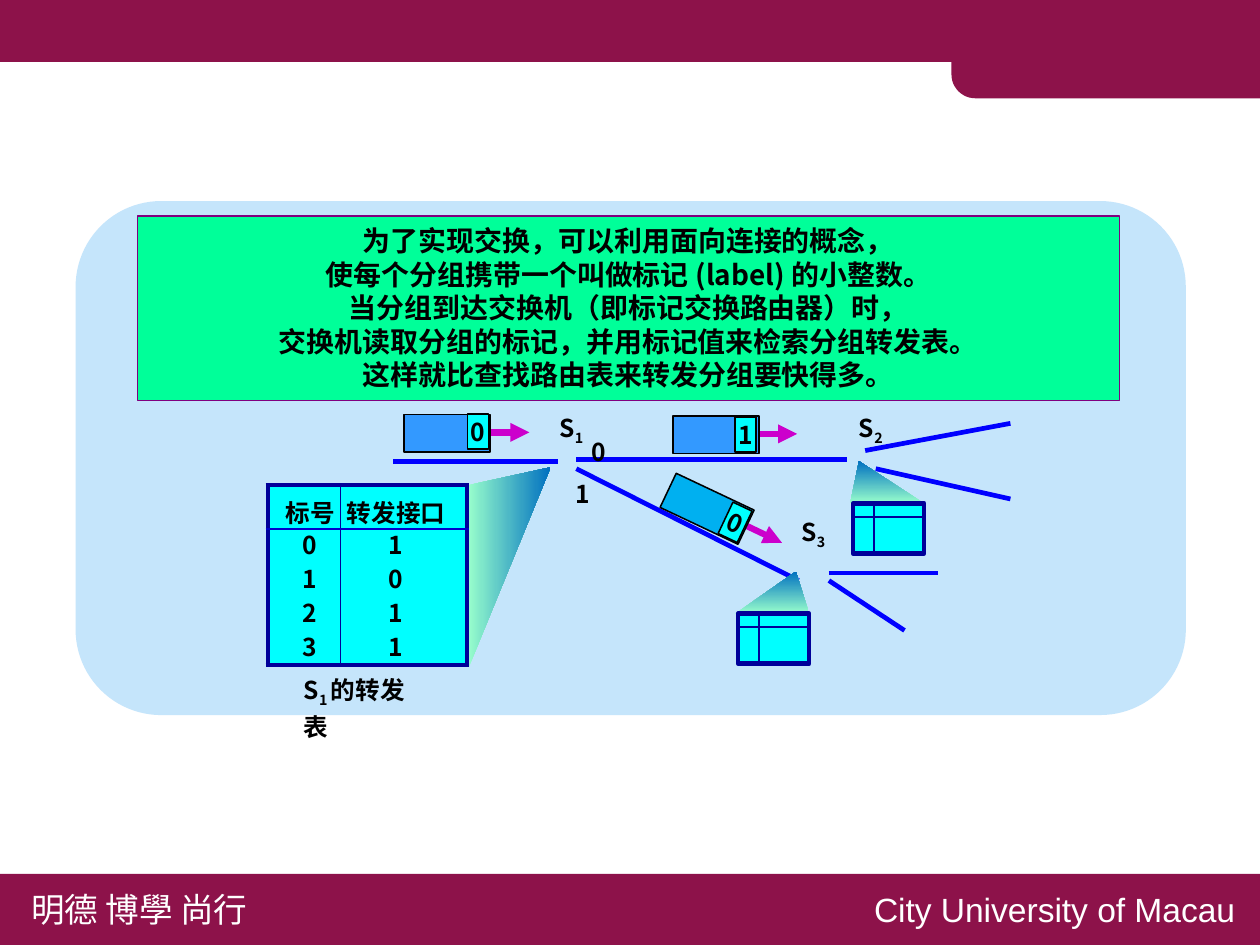
from dataclasses import dataclass

from lxml import etree
from pptx import Presentation
from pptx import util as u
from pptx.dml.color import RGBColor
from pptx.enum import shapes, text
from pptx.oxml import ns

SHAPE = shapes.MSO_SHAPE
ALIGN = text.PP_ALIGN
ANCHOR = text.MSO_ANCHOR


@dataclass(frozen=True)
class Theme:
    cjk: str = "Noto Sans CJK SC"
    latin: str = "Arial"
    foot: float = 16
    body: float = 13.3
    label: float = 11.7
    lead: float = 1.2
    wine: str = "8D124A"
    sky: str = "C5E5FB"
    mint: str = "00FF99"
    plum: str = "800080"
    cyan: str = "00FFFF"
    navy: str = "000099"
    rule: str = "0000CC"
    link: str = "0000FF"
    arrow: str = "CC00CC"
    load: str = "3399FF"
    tilt: str = "00B0F0"
    pale: str = "99FFCC"
    deep: str = "0070C0"
    black: str = "000000"
    white: str = "FFFFFF"


class Deck:
    def __init__(self, theme):
        self.theme = theme
        self.prs = Presentation()
        self.prs.slide_width = u.Inches(8.33)
        self.prs.slide_height = u.Inches(6.25)
        self.slide = self.prs.slides.add_slide(self.prs.slide_layouts[6])
        self.shapes = self.slide.shapes

    def style(self, run, size, color, bold=True, face=None):
        run.font.size = u.Pt(size)
        run.font.bold = bold
        run.font.name = face or self.theme.cjk
        run.font.color.rgb = RGBColor.from_string(color)
        far = etree.SubElement(run._r.get_or_add_rPr(), ns.qn("a:ea"))
        far.set("typeface", face or self.theme.cjk)

    def paint(self, shape, fill, line=None, width=0.75):
        shape.shadow.inherit = False
        if isinstance(fill, tuple):
            angle, *stops = fill
            shape.fill.gradient()
            shape.fill.gradient_angle = angle
            for stop, color in zip(shape.fill.gradient_stops, stops):
                stop.color.rgb = RGBColor.from_string(color)
        else:
            shape.fill.solid()
            shape.fill.fore_color.rgb = RGBColor.from_string(fill)
        if line:
            shape.line.color.rgb = RGBColor.from_string(line)
            shape.line.width = u.Pt(width)
        else:
            shape.line.fill.background()
        return shape

    def box(self, kind, x, y, w, h, fill, line=None, width=0.75, turn=0):
        shape = self.shapes.add_shape(kind, *map(u.Inches, (x, y, w, h)))
        shape.rotation = turn
        return self.paint(shape, fill, line, width)

    def line(self, x1, y1, x2, y2, color, width, head=False):
        line = self.shapes.add_connector(
            shapes.MSO_CONNECTOR.STRAIGHT, *map(u.Inches, (x1, y1, x2, y2)))
        line.line.color.rgb = RGBColor.from_string(color)
        line.line.width = u.Pt(width)
        if head:
            tip = etree.SubElement(line.line._get_or_add_ln(), ns.qn("a:tailEnd"))
            tip.set("type", "triangle")
        etree.SubElement(line._element.spPr, ns.qn("a:effectLst"))

    def label(self, x, y, w, h, words, sub="", rest="", wrap=False):
        frame = self.shapes.add_textbox(*map(u.Inches, (x, y, w, h))).text_frame
        frame.word_wrap = wrap
        para = frame.paragraphs[0]
        for part in filter(None, (words, sub, rest)):
            run = para.add_run()
            run.text = part
            self.style(run, self.theme.label, self.theme.black)
            if part == sub:
                run._r.get_or_add_rPr().set("baseline", "-25000")
        if wrap:
            para.line_spacing = u.Pt(15.7)

    def foot(self, x, w, words, face):
        frame = self.shapes.add_textbox(
            *map(u.Inches, (x, 5.83, w, 0.37))).text_frame
        frame.text = words
        frame.word_wrap = False
        self.style(frame.paragraphs[0].runs[0], self.theme.foot,
                   self.theme.white, False, face)

    def note(self, x, y, w, h, lines):
        t = self.theme
        frame = self.box(SHAPE.RECTANGLE, x, y, w, h, t.mint, t.plum).text_frame
        frame.text = "\n".join(lines)
        frame.word_wrap = True
        frame.vertical_anchor = ANCHOR.TOP
        for para in frame.paragraphs:
            para.alignment = ALIGN.CENTER
            para.line_spacing = u.Pt(t.body * t.lead)
            self.style(para.runs[0], t.body, t.black)

    def packet(self, body, tag, digit, arrow, fill, turn=0):
        t = self.theme
        self.line(*arrow, t.arrow, 3, True)
        self.box(SHAPE.RECTANGLE, *body, 0.57, 0.25, fill, t.black, turn=turn)
        frame = self.box(SHAPE.RECTANGLE, *tag, 0.14, 0.23, t.cyan, t.black,
                         turn=turn).text_frame
        frame.margin_left = frame.margin_right = 0
        frame.margin_top = frame.margin_bottom = 0
        frame.word_wrap = False
        frame.vertical_anchor = ANCHOR.MIDDLE
        frame.text = digit
        frame.paragraphs[0].alignment = ALIGN.CENTER
        self.style(frame.paragraphs[0].runs[0], t.label, t.black)

    def icon(self, x, y, peak):
        t = self.theme
        cone = self.box(SHAPE.ISOSCELES_TRIANGLE, x - 0.02, y - 0.28, 0.49, 0.28,
                        (90, t.pale, t.deep))
        cone.adjustments[0] = peak
        self.box(SHAPE.RECTANGLE, x, y, 0.47, 0.33, t.cyan, t.navy, 2.25)
        self.line(x, y + 0.09, x + 0.46, y + 0.09, t.navy, 1)
        self.line(x + 0.14, y, x + 0.14, y + 0.33, t.navy, 1)

    def beam(self, start, *points):
        build = self.shapes.build_freeform(*map(u.Inches, start), scale=1.0)
        build.add_line_segments([tuple(map(u.Inches, p)) for p in points])
        self.paint(build.convert_to_shape(),
                   (0, self.theme.pale, self.theme.deep))

    def edge(self, cell, side, color, width):
        line = etree.SubElement(cell._tc.get_or_add_tcPr(), ns.qn("a:ln" + side))
        line.set("w", str(u.Pt(width)))
        if color:
            fill = etree.SubElement(line, ns.qn("a:solidFill"))
            etree.SubElement(fill, ns.qn("a:srgbClr")).set("val", color)
        else:
            etree.SubElement(line, ns.qn("a:noFill"))

    def table(self, x, y, wide, tall, rows):
        t = self.theme
        grid = self.shapes.add_table(
            len(rows), len(wide),
            *map(u.Inches, (x, y, sum(wide), sum(tall)))).table
        grid.first_row = grid.horz_banding = False
        for col, size in zip(grid.columns, wide):
            col.width = u.Inches(size)
        for row, size in zip(grid.rows, tall):
            row.height = u.Inches(size)
        outer, thin, bare = (t.navy, 2.25), (t.navy, 0.75), (None, 0)
        last = len(rows) - 1
        for r, row in enumerate(rows):
            above = outer if r == 0 else (t.rule, 0.75) if r == 1 else bare
            below = outer if r == last else (t.rule, 0.75) if r == 0 else bare
            for c, words in enumerate(row):
                cell = grid.cell(r, c)
                sides = (thin, outer) if c else (outer, thin)
                for side, look in zip("LRTB", (*sides, above, below)):
                    self.edge(cell, side, *look)
                cell.fill.solid()
                cell.fill.fore_color.rgb = RGBColor.from_string(t.cyan)
                cell.margin_left = u.Inches(0 if c else 0.08)
                cell.margin_right = u.Inches(0.1 if c else 0)
                cell.margin_top = cell.margin_bottom = 0
                cell.vertical_anchor = ANCHOR.MIDDLE if r else ANCHOR.BOTTOM
                cell.text = words
                para = cell.text_frame.paragraphs[0]
                para.alignment = ALIGN.CENTER
                para.line_spacing = u.Pt(15)
                self.style(para.runs[0], t.label, t.black)


def main():
    t = Theme()
    d = Deck(t)
    d.box(SHAPE.RECTANGLE, 0, 0, 8.33, 0.41, t.wine)
    tab = d.box(SHAPE.ROUND_2_SAME_RECTANGLE, 7, -0.69, 0.63, 2.05, t.wine, turn=270)
    tab.adjustments[0] = 0.25
    d.box(SHAPE.RECTANGLE, 0, 5.78, 8.33, 0.47, t.wine)
    d.foot(0.11, 1.68, "明德 博學 尚行", t.cjk)
    d.foot(5.68, 2.62, "City University of Macau", t.latin)
    d.box(SHAPE.ROUNDED_RECTANGLE, 0.5, 1.33, 7.34, 3.4, t.sky)

    for ends in ((5.79, 3.1, 6.68, 3.3), (2.6, 3.05, 3.69, 3.05),
                 (3.81, 3.04, 5.6, 3.04), (3.81, 3.1, 5.28, 3.84),
                 (5.72, 2.98, 6.68, 2.8), (5.48, 3.79, 6.2, 3.79),
                 (5.48, 3.84, 5.98, 4.17)):
        d.line(*ends, t.link, 2.25)
    d.beam((3.09, 3.21), (3.64, 3.09), (3.1, 4.41))

    for x, y, port in ((3.81, 2.84, "0"), (3.71, 3.12, "1")):
        d.label(x, y, 0.3, 0.3, port)
    for x, y, num in ((3.6, 2.68, "1"), (5.58, 2.68, "2"), (5.2, 3.37, "3")):
        d.label(x, y, 0.37, 0.3, "S", num)
    d.label(1.91, 4.42, 0.98, 0.54, "S", "1 ", "的转发表", True)

    d.packet((2.67, 2.74), (3.09, 2.74), "0", (3.24, 2.86, 3.5, 2.86), t.load)
    d.packet((4.39, 3.24), (4.79, 3.34), "0", (4.94, 3.48, 5.17, 3.59), t.tilt, 25.3)
    d.packet((4.45, 2.75), (4.86, 2.76), "1", (5.02, 2.87, 5.27, 2.87), t.load)
    d.table(1.77, 3.21, (0.48, 0.84), (0.29,) + (0.225,) * 4,
            (("标号", "转发接口"), ("0", "1"), ("1", "0"), ("2", "1"), ("3", "1")))
    d.icon(4.88, 4.06, 0.82)
    d.icon(5.64, 3.33, 0.12)
    d.note(0.91, 1.43, 6.49, 1.22, (
        "为了实现交换，可以利用面向连接的概念，",
        "使每个分组携带一个叫做标记 (label) 的小整数。",
        "当分组到达交换机（即标记交换路由器）时，",
        "交换机读取分组的标记，并用标记值来检索分组转发表。",
        "这样就比查找路由表来转发分组要快得多。"))
    d.prs.save("out.pptx")


if __name__ == "__main__":
    main()
